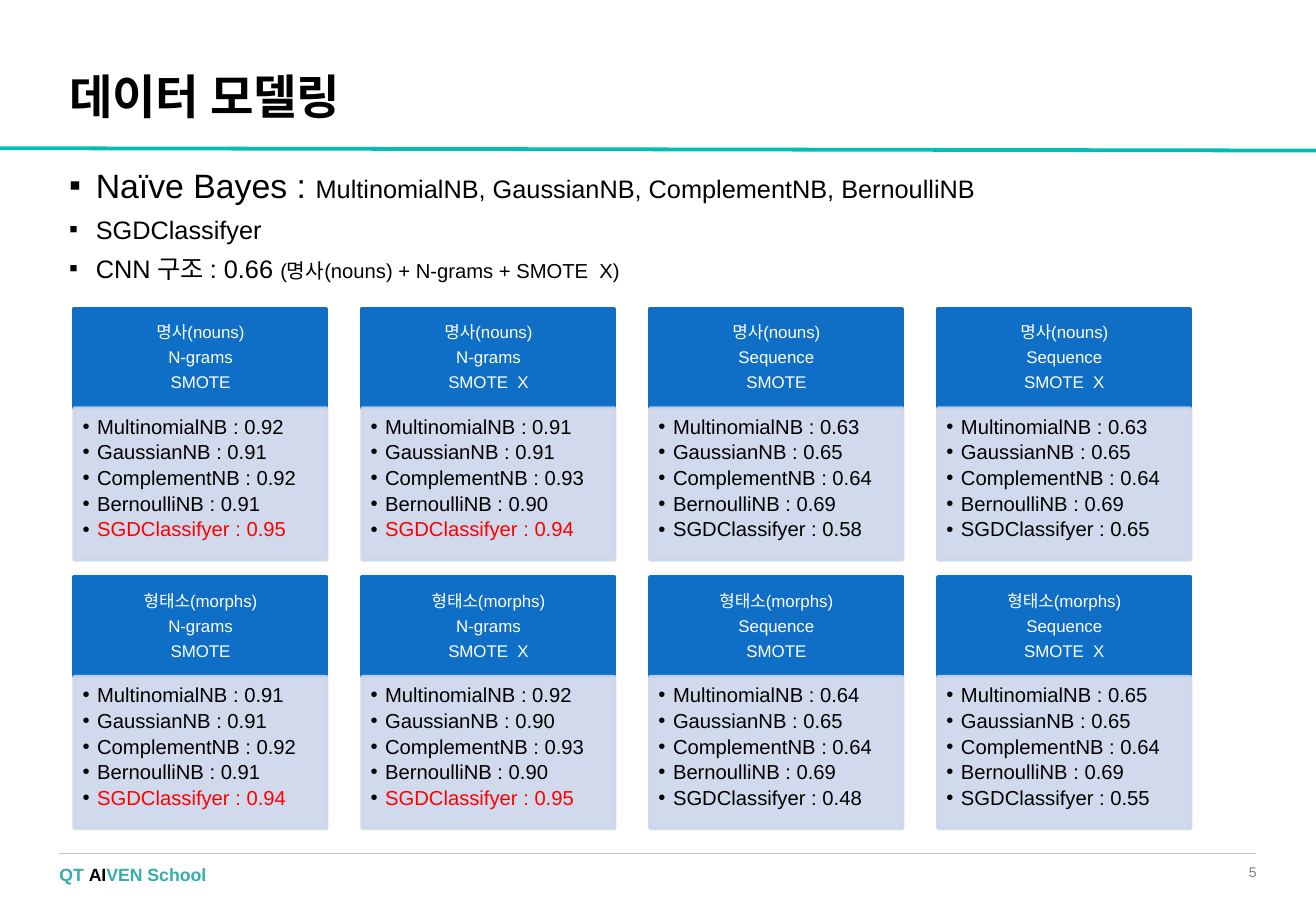
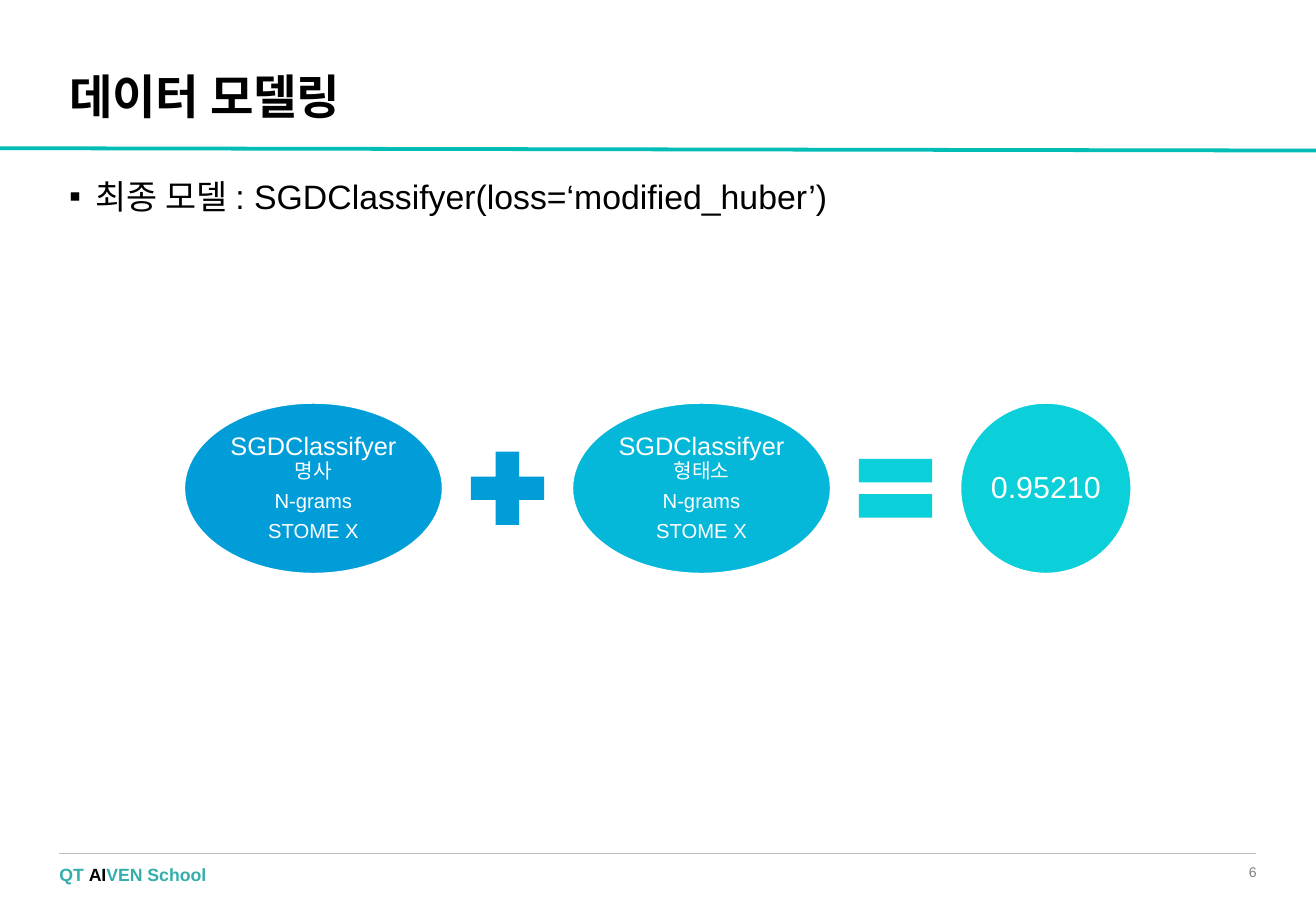
"""Builds two slides on the results of the data modelling."""
from dataclasses import dataclass
from typing import Optional

from lxml.etree import SubElement
from pptx import Presentation
from pptx.dml.color import RGBColor
from pptx.enum.shapes import MSO_CONNECTOR, MSO_SHAPE
from pptx.enum.text import MSO_ANCHOR, PP_ALIGN
from pptx.oxml import parse_xml
from pptx.oxml.ns import nsdecls, qn
from pptx.util import Inches, Pt

WIDTH, HEIGHT = Inches(10.83), Inches(7.5)
LATIN, KOREAN = "Arial", "Noto Sans CJK KR"
COLORS = {
    "ink": "000000", "paper": "FFFFFF", "best": "FF0000", "teal": "02BDB6",
    "brand": "34AEAA", "rule": "BFBFBF", "number": "7F7F7F", "header": "0F6FC6",
    "panel": "CCD5EA", "nouns": "009DD9", "morphs": "05B7D9", "score": "0BD0D9",
}


@dataclass(frozen=True)
class Box:
    """A rectangle in percent of the slide's width and height."""
    left: float
    top: float
    width: float
    height: float

    def emu(self) -> tuple[int, int, int, int]:
        """Gives left, top, width and height in EMU."""
        return (across(self.left), down(self.top), across(self.width), down(self.height))


@dataclass(frozen=True)
class Span:
    """A piece of text with what differs from its paragraph."""
    text: str
    size: Optional[float] = None
    color: Optional[str] = None
    breaks: bool = False


@dataclass(frozen=True)
class Style:
    """The look of a paragraph, with lengths in points and indent in inches."""
    size: float
    color: str = "ink"
    bold: bool = False
    font: str = LATIN
    align: PP_ALIGN = PP_ALIGN.LEFT
    line: float = 1.0
    before: float = 0
    after: float = 0
    bullet: str = ""
    indent: float = 0


@dataclass(frozen=True)
class Card:
    """One combination of text features with the scores of the models."""
    tokens: str
    encoding: str
    sampling: str
    scores: tuple[float, ...]


@dataclass(frozen=True)
class Term:
    """One part of the equation; it has text only if it is an ellipse."""
    preset: MSO_SHAPE
    color: str
    width: float
    height: float
    lines: tuple[tuple[Span, ...], ...] = ()
    size: float = 12


TITLE = Style(28, bold=True, font=KOREAN, line=0.9)
BRAND = Style(10.5, "brand", bold=True)
NUMBER = Style(8.3, "number", align=PP_ALIGN.RIGHT)
POINT = Style(15, before=5, bullet="▪", indent=0.22)
FINAL_POINT = Style(20, before=5, bullet="▪", indent=0.22)
CARD_HEADER = Style(10, "paper", align=PP_ALIGN.CENTER, line=0.9, after=3.9)
CARD_SCORE = Style(12, line=0.9, after=2.3, bullet="•", indent=0.12)

MODELS = ("MultinomialNB", "GaussianNB", "ComplementNB", "BernoulliNB", "SGDClassifyer")
BEST_FROM = 0.94
NOUNS, MORPHS = "명사(nouns)", "형태소(morphs)"
PLAIN, WITHOUT = "SMOTE", "SMOTE  X"
CARD_ROWS = (
    (Card(NOUNS, "N-grams", PLAIN, (0.92, 0.91, 0.92, 0.91, 0.95)),
     Card(NOUNS, "N-grams", WITHOUT, (0.91, 0.91, 0.93, 0.90, 0.94)),
     Card(NOUNS, "Sequence", PLAIN, (0.63, 0.65, 0.64, 0.69, 0.58)),
     Card(NOUNS, "Sequence", WITHOUT, (0.63, 0.65, 0.64, 0.69, 0.65))),
    (Card(MORPHS, "N-grams", PLAIN, (0.91, 0.91, 0.92, 0.91, 0.94)),
     Card(MORPHS, "N-grams", WITHOUT, (0.92, 0.90, 0.93, 0.90, 0.95)),
     Card(MORPHS, "Sequence", PLAIN, (0.64, 0.65, 0.64, 0.69, 0.48)),
     Card(MORPHS, "Sequence", WITHOUT, (0.65, 0.65, 0.64, 0.69, 0.55))),
)
GRID_LEFT, GRID_TOP, COLUMN_STEP, ROW_STEP = 5.63, 33.87, 21.88, 29.47
CARD_WIDTH, HEADER_HEIGHT, PANEL_HEIGHT = 19.21, 10.93, 16.67
EQUATION_LEFT, EQUATION_MIDDLE, EQUATION_GAP = 13.94, 53.6, 1.08


def across(share: float) -> int:
    """Turns a percentage of the slide's width into EMU."""
    return round(WIDTH * share / 100)


def down(share: float) -> int:
    """Turns a percentage of the slide's height into EMU."""
    return round(HEIGHT * share / 100)


def rgb(name: str) -> RGBColor:
    """Looks up a named colour."""
    return RGBColor.from_string(COLORS[name])


def add_bullet(para, style: Style) -> None:
    """Gives a paragraph a black bullet with a hanging indent."""
    props = para._p.get_or_add_pPr()
    props.set("marL", str(Inches(style.indent)))
    props.set("indent", str(-Inches(style.indent)))
    defaults = props.find(qn("a:defRPr"))
    for markup in (
        f'<a:buClr {nsdecls("a")}><a:srgbClr val="{COLORS["ink"]}"/></a:buClr>',
        f'<a:buFont {nsdecls("a")} typeface="{LATIN}"/>',
        f'<a:buChar {nsdecls("a")} char="{style.bullet}"/>',
    ):
        defaults.addprevious(parse_xml(markup))


def format_para(para, style: Style) -> None:
    """Applies a style to a whole paragraph."""
    para.alignment = style.align
    para.line_spacing = style.line
    para.space_before, para.space_after = Pt(style.before), Pt(style.after)
    font = para.font
    font.name, font.size, font.bold = style.font, Pt(style.size), style.bold
    font.color.rgb = rgb(style.color)
    defaults = para._p.pPr.find(qn("a:defRPr"))
    SubElement(defaults, qn("a:ea")).set("typeface", KOREAN)
    if style.bullet:
        add_bullet(para, style)


def write(shape, lines: tuple[tuple[Span, ...], ...], style: Style,
          anchor: MSO_ANCHOR = MSO_ANCHOR.TOP,
          insets: tuple[float, ...] = (0.1, 0.05, 0.1, 0.05)) -> None:
    """Fills a shape with one paragraph for each line."""
    frame = shape.text_frame
    frame.word_wrap = True
    frame.vertical_anchor = anchor
    (frame.margin_left, frame.margin_top,
     frame.margin_right, frame.margin_bottom) = map(Inches, insets)
    for index, spans in enumerate(lines):
        para = frame.add_paragraph() if index else frame.paragraphs[0]
        format_para(para, style)
        for span in spans:
            run = para.add_run()
            run.text = span.text
            if span.size:
                run.font.size = Pt(span.size)
            if span.color:
                run.font.color.rgb = rgb(span.color)
            if span.breaks:
                para.add_line_break()


def add_text(page, box: Box, lines: tuple[tuple[Span, ...], ...], style: Style, **layout) -> None:
    """Places a text box."""
    write(page.shapes.add_textbox(*box.emu()), lines, style, **layout)


def add_filled(page, preset: MSO_SHAPE, box: Box, fill: str, line: Optional[str],
               opacity: int = 100):
    """Places a preset shape without shadow."""
    shape = page.shapes.add_shape(preset, *box.emu())
    shape.shadow.inherit = False
    shape.fill.solid()
    shape.fill.fore_color.rgb = rgb(fill)
    if line:
        shape.line.color.rgb = rgb(line)
        shape.line.width = Pt(2)
    else:
        shape.line.fill.background()
    if opacity < 100:
        for color in shape._element.spPr.iter(qn("a:srgbClr")):
            SubElement(color, qn("a:alpha")).set("val", str(opacity * 1000))
    return shape


def add_line(page, start: tuple[float, float], end: tuple[float, float],
             color: str, weight: float) -> None:
    """Draws a straight line between two points given in percent."""
    line = page.shapes.add_connector(
        MSO_CONNECTOR.STRAIGHT, across(start[0]), down(start[1]), across(end[0]), down(end[1]))
    line.line.color.rgb = rgb(color)
    line.line.width = Pt(weight)
    SubElement(line._element.spPr, qn("a:effectLst"))


def add_page(deck, number: int):
    """Adds a slide with the shared title, rules and footer."""
    page = deck.slides.add_slide(deck.slide_layouts[6])
    add_line(page, (100, 16.53), (0, 16.27), "teal", 2.25)
    add_line(page, (4.52, 93.73), (95.48, 93.73), "rule", 0.75)
    add_text(page, Box(89.29, 94.8, 6.19, 1.87), ((Span(str(number)),),), NUMBER,
             anchor=MSO_ANCHOR.MIDDLE, insets=(0, 0, 0, 0))
    add_text(page, Box(4.52, 94.8, 29.18, 2.4),
             ((Span("QT "), Span("AI", color="ink"), Span("VEN School")),), BRAND,
             insets=(0, 0, 0, 0))
    add_text(page, Box(4.34, 7.47, 49.58, 8.67), ((Span("데이터 모델링"),),), TITLE)
    return page


def add_card(page, card: Card, column: int, row: int) -> None:
    """Draws a header and its panel of scores in a grid cell."""
    left, top = GRID_LEFT + column * COLUMN_STEP, GRID_TOP + row * ROW_STEP
    header = add_filled(page, MSO_SHAPE.RECTANGLE, Box(left, top, CARD_WIDTH, HEADER_HEIGHT),
                        "header", "header")
    write(header, tuple((Span(text),) for text in (card.tokens, card.encoding, card.sampling)),
          CARD_HEADER, MSO_ANCHOR.MIDDLE, (0.08, 0.04, 0.08, 0.04))
    panel = add_filled(page, MSO_SHAPE.RECTANGLE,
                       Box(left, top + HEADER_HEIGHT, CARD_WIDTH, PANEL_HEIGHT),
                       "panel", "panel", opacity=90)
    scores = tuple(
        (Span(f"{model} : {score:.2f}", color="best" if score >= BEST_FROM else None),)
        for model, score in zip(MODELS, card.scores))
    write(panel, scores, CARD_SCORE, insets=(0.07, 0.07, 0.09, 0.1))


def model_term(tokens: str, color: str) -> Term:
    """Describes the ellipse of one classifier."""
    lines = ((Span("SGDClassifyer", 15, breaks=True), Span(tokens)),
             (Span("N-grams"),), (Span("STOME X"),))
    return Term(MSO_SHAPE.OVAL, color, 19.76, 18.93, lines)


def add_equation(page, terms: tuple[Term, ...]) -> None:
    """Sets the terms side by side on one middle line with equal gaps."""
    left = EQUATION_LEFT
    for term in terms:
        box = Box(left, EQUATION_MIDDLE - term.height / 2, term.width, term.height)
        shape = add_filled(page, term.preset, box, term.color, "paper" if term.lines else None)
        if term.lines:
            style = Style(term.size, "paper", align=PP_ALIGN.CENTER, line=0.9,
                          after=term.size * 0.39)
            write(shape, term.lines, style, MSO_ANCHOR.MIDDLE, (0.02, 0.02, 0.02, 0.02))
        left += term.width + EQUATION_GAP


def build_scores(deck) -> None:
    """Builds the slide that compares the models."""
    page = add_page(deck, 5)
    add_text(page, Box(4.34, 17.47, 71.47, 14.4), (
        (Span("Naïve Bayes : ", 20),
         Span("MultinomialNB, GaussianNB, ComplementNB, BernoulliNB")),
        (Span("SGDClassifyer"),),
        (Span("CNN 구조 : 0.66 "), Span("(명사(nouns) + N-grams + SMOTE  X)", 12)),
    ), POINT)
    for row, cards in enumerate(CARD_ROWS):
        for column, card in enumerate(cards):
            add_card(page, card, column, row)


def build_final_model(deck) -> None:
    """Builds the slide with the final model."""
    page = add_page(deck, 6)
    add_text(page, Box(4.34, 18.67, 61.03, 5.87),
             ((Span("최종 모델 : SGDClassifyer(loss=‘modified_huber’)"),),), FINAL_POINT)
    add_equation(page, (
        model_term("명사", "nouns"),
        Term(MSO_SHAPE.MATH_PLUS, "nouns", 7.57, 10.93),
        model_term("형태소", "morphs"),
        Term(MSO_SHAPE.MATH_EQUAL, "score", 7.57, 10.93),
        Term(MSO_SHAPE.OVAL, "score", 13.11, 18.93, ((Span("0.95210"),),), 18),
    ))


def main() -> None:
    """Builds and saves the deck."""
    deck = Presentation()
    deck.slide_width, deck.slide_height = WIDTH, HEIGHT
    build_scores(deck)
    build_final_model(deck)
    deck.save("out.pptx")


main()
